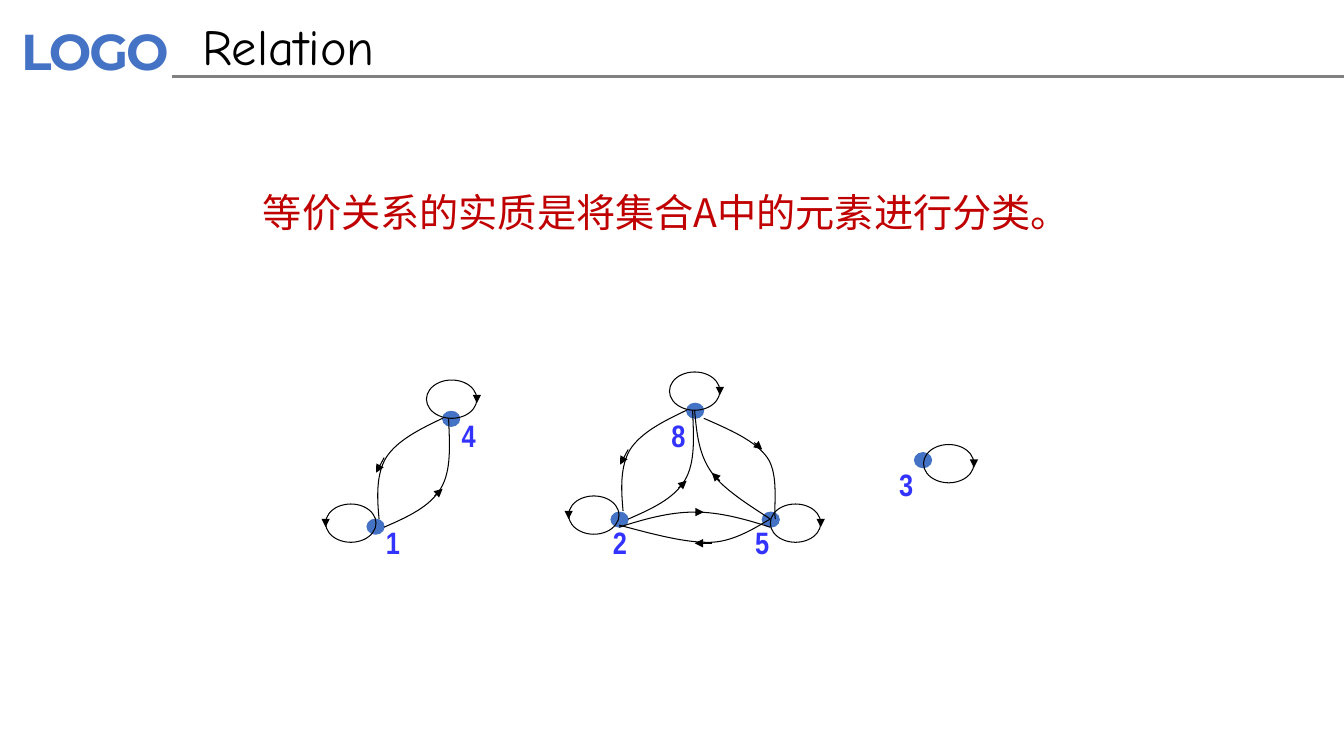
from lxml.etree import SubElement
from pptx import Presentation
from pptx.dml.color import RGBColor
from pptx.enum.shapes import MSO_CONNECTOR, MSO_SHAPE
from pptx.enum.text import MSO_ANCHOR
from pptx.oxml.ns import qn
from pptx.util import Inches, Pt

COLORS = {"blue": "4472C4", "gray": "808080", "black": "000000",
          "red": "C00000", "label": "3333FF"}

presentation = Presentation()
presentation.slide_width = Inches(13.33)
presentation.slide_height = Inches(7.5)
slide = presentation.slides.add_slide(presentation.slide_layouts[6])
shapes = slide.shapes


def add_text(text, box, size, font, color, bold=False, wrap=True, margins=(0.1, 0.05)):
    frame = shapes.add_textbox(*map(Inches, box)).text_frame
    side, top = map(Inches, margins)
    frame_format = {"word_wrap": wrap, "vertical_anchor": MSO_ANCHOR.TOP,
                    "margin_left": side, "margin_right": side,
                    "margin_top": top, "margin_bottom": top}
    for name, value in frame_format.items():
        setattr(frame, name, value)
    paragraph = frame.paragraphs[0]
    run = paragraph.add_run()
    run.text = text
    for name, value in {"size": Pt(size), "name": font, "bold": bold}.items():
        setattr(run.font, name, value)
    run.font.color.rgb = RGBColor.from_string(COLORS[color])
    SubElement(run.font._element, qn("a:ea"), typeface=font)
    return paragraph


def add_line(start, end, color="black", width=0.75, arrow=True):
    line = shapes.add_connector(MSO_CONNECTOR.STRAIGHT, *map(Inches, start + end))
    line.line.color.rgb = RGBColor.from_string(COLORS[color])
    line.line.width = Pt(width)
    if arrow:
        SubElement(line.line._get_or_add_ln(), qn("a:tailEnd"), type="triangle")
    SubElement(line._element.spPr, qn("a:effectLst"))


logo = add_text("LOGO", (0.08, 0.13, 1.86, 0.74), 36, "Montserrat", "blue",
                bold=True, margins=(0.13, 0.07))
logo.runs[0].font._element.set("spc", "-150")
add_line((1.71, 0.76), (13.33, 0.76), "gray", 2, arrow=False)
add_text("Relation", (1.91, 0.1, 6.3, 0.71), 36, "Comic Neue", "black")
statement = add_text("等价关系的实质是将集合A中的元素进行分类。", (2.51, 1.87, 8.31, 0.53),
                     28, "Noto Sans CJK SC", "red", wrap=False)
statement.line_spacing = 0.9

DOT = (0.17, 0.15)
LOOP = (0.5, 0.38)
nodes = [
    ("4", (4.39, 4.08), (4.23, 3.77), "right", (4.48, 4.08)),
    ("1", (3.64, 5.15), (3.23, 5.0), "left", (3.73, 5.15)),
    ("8", (6.81, 4.0), (6.64, 3.69), "right", (6.56, 4.08)),
    ("2", (6.06, 5.08), (5.64, 4.92), "left", (5.98, 5.15)),
    ("5", (7.56, 5.08), (7.64, 5.0), "right", (7.39, 5.15)),
    ("3", (9.07, 4.49), (9.16, 4.41), "right", (8.82, 4.57)),
]
for label, dot_at, loop_at, side, label_at in nodes:
    for position, size, filled in ((dot_at, DOT, True), (loop_at, LOOP, False)):
        ellipse = shapes.add_shape(MSO_SHAPE.OVAL, *map(Inches, position + size))
        ellipse.shadow.inherit = False
        ellipse.line.width = Pt(0.75)
        color = RGBColor.from_string(COLORS["blue" if filled else "black"])
        ellipse.line.color.rgb = color
        if filled:
            ellipse.fill.solid()
            ellipse.fill.fore_color.rgb = color
        else:
            ellipse.fill.background()
    left, top = loop_at
    tip = left + LOOP[0] if side == "right" else left
    add_line((tip, top + 0.15), (tip, top + 0.23))
    add_text(label, label_at + (0.42, 0.47), 22.1, "Arial Narrow", "label", bold=True)

rising = [(3.81, 5.23), (4.04, 5.13), (4.26, 5.03), (4.37, 4.85),
          (4.48, 4.67), (4.46, 4.41), (4.45, 4.15)]
falling = [(4.39, 4.15), (4.16, 4.26), (3.94, 4.37), (3.83, 4.54),
           (3.73, 4.71), (3.74, 4.93), (3.76, 5.15)]
curves = [
    [(6.89, 4.08), (6.91, 4.3), (6.93, 4.51), (7.06, 4.69),
     (7.18, 4.87), (7.54, 5.08), (7.64, 5.15)],
    [(6.98, 4.15), (7.23, 4.26), (7.49, 4.37), (7.61, 4.54),
     (7.73, 4.71), (7.67, 5.04), (7.69, 5.15)],
    [(6.14, 5.21), (6.48, 5.3), (6.81, 5.39), (7.06, 5.38),
     (7.31, 5.37), (7.56, 5.19), (7.64, 5.15)],
    [(6.14, 5.23), (6.39, 5.15), (6.64, 5.08), (6.89, 5.08),
     (7.14, 5.08), (7.39, 5.15), (7.64, 5.23)],
]
arrows = [((7.48, 4.39), (7.56, 4.46)), ((7.14, 4.77), (7.06, 4.69)),
          ((6.89, 5.08), (6.98, 5.08)), ((7.06, 5.39), (6.89, 5.39))]
for dx, dy in ((0, 0), (2.42, -0.08)):
    for curve in (rising, falling):
        curves.append([(x + dx, y + dy) for x, y in curve])
    for start, end in (((3.81, 4.54), (3.73, 4.69)), ((4.31, 4.92), (4.39, 4.85))):
        arrows.append(((start[0] + dx, start[1] + dy), (end[0] + dx, end[1] + dy)))

for curve in curves:
    builder = shapes.build_freeform(*map(Inches, curve[0]))
    builder.add_line_segments([tuple(map(Inches, point)) for point in curve[1:]], close=False)
    edge = builder.convert_to_shape()
    segments = list(edge._element.iter(qn("a:lnTo")))
    outline = segments[0].getparent()
    for first in (0, 3):
        bezier = SubElement(outline, qn("a:cubicBezTo"))
        for segment in segments[first:first + 3]:
            bezier.append(segment[0])
            outline.remove(segment)
    edge.shadow.inherit = False
    edge.fill.background()
    edge.line.color.rgb = RGBColor.from_string(COLORS["black"])
    edge.line.width = Pt(0.75)

for start, end in arrows:
    add_line(start, end)

presentation.save("out.pptx")
